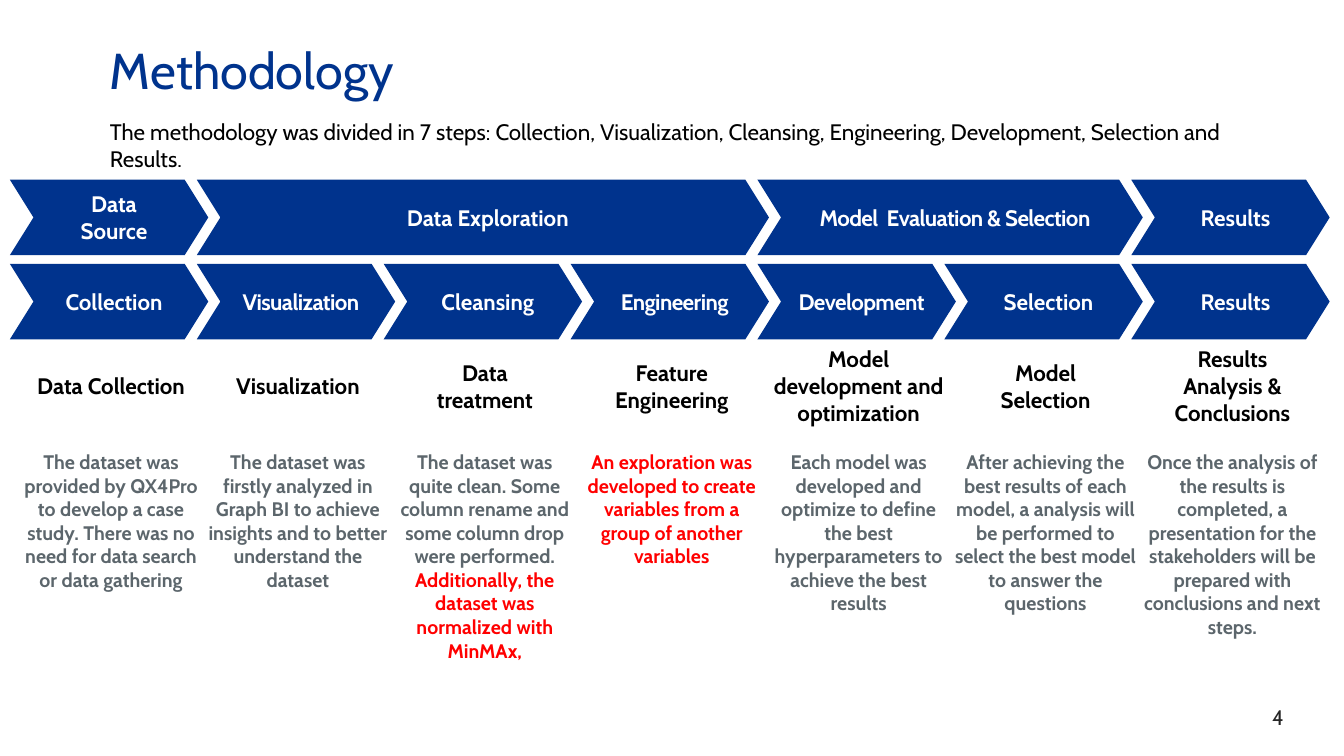
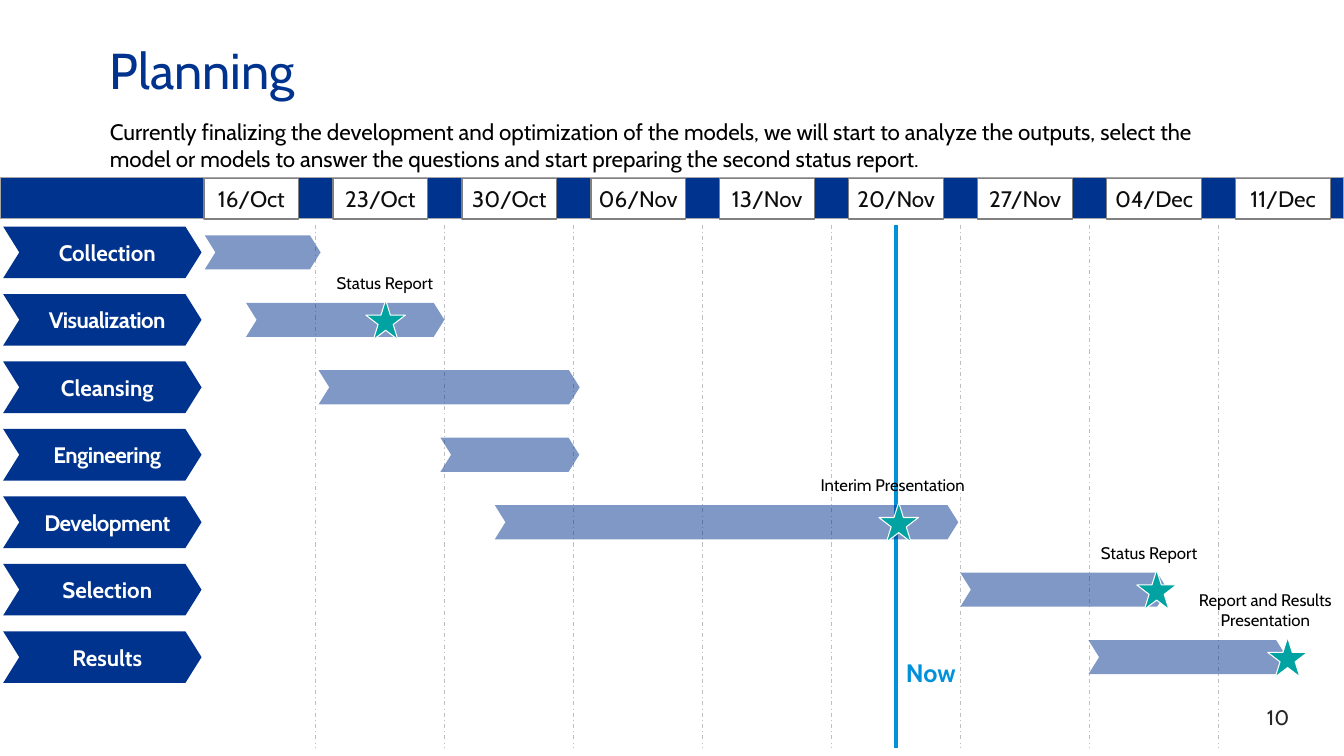
from dataclasses import dataclass
from typing import NamedTuple

from lxml.etree import SubElement
from pptx import Presentation
from pptx.dml.color import RGBColor
from pptx.enum.dml import MSO_LINE_DASH_STYLE as Dash
from pptx.enum.shapes import MSO_CONNECTOR as Connector, MSO_SHAPE as Preset
from pptx.enum.text import MSO_ANCHOR as Anchor, MSO_AUTO_SIZE as AutoSize, PP_ALIGN as Align
from pptx.oxml.ns import qn
from pptx.util import Cm, Pt


@dataclass(frozen=True)
class Theme:
    font: str = "Cabin"
    navy: str = "00338D"
    sky: str = "0091DA"
    teal: str = "00A3A1"
    white: str = "FFFFFF"
    black: str = "000000"
    ink: str = "0D0D0D"
    page_ink: str = "262626"
    slate: str = "5C666C"
    red: str = "FF0000"
    band_edge: str = "A6A6A6"
    week_edge: str = "808080"
    guide: str = "BFBFBF"
    title_size: int = 36
    now_size: int = 18
    text_size: int = 16
    page_size: int = 15
    detail_size: int = 14
    label_size: int = 12


THEME = Theme()


class Box(NamedTuple):
    """A place on the slide, in centimetres."""
    left: float
    top: float
    width: float
    height: float

    def at(self, left, top, width, height):
        """Give the box of a part whose left and top count from this box."""
        return Box(self.left + left, self.top + top, width, height)

    def lengths(self):
        return [Cm(value) for value in self]


class Step(NamedTuple):
    label: str
    name: str
    done: str
    added: str
    bar_left: float
    bar_width: float


class Milestone(NamedTuple):
    row: int
    label: str
    star_left: float
    label_middle: float


STEPS = [
    Step("Collection", "Data Collection",
         "The dataset was provided by QX4Pro to develop a case study. "
         "There was no need for data search or data gathering", "", 5.16, 2.92),
    Step("Visualization", "Visualization",
         "The dataset was firstly analyzed in Graph BI to achieve insights "
         "and to better understand the dataset", "", 6.2, 5),
    Step("Cleansing", "Data\ntreatment",
         "The dataset was quite clean. Some column rename and some column drop were performed.",
         "Additionally, the dataset was normalized with MinMAx,", 8.03, 6.58),
    Step("Engineering", "Feature Engineering", "",
         "An exploration was developed to create variables from a group of another variables",
         11.1, 3.5),
    Step("Development", "Model development and optimization",
         "Each model was developed and optimize to define the best hyperparameters "
         "to achieve the best results", "", 12.47, 11.68),
    Step("Selection", "Model\nSelection",
         "After achieving the best results of each model, a analysis will be performed "
         "to select the best model to answer the questions", "", 24.2, 5.23),
    Step("Results", "Results\nAnalysis & Conclusions",
         "Once the analysis of the results is completed, a presentation for the stakeholders "
         "will be prepared with conclusions and next steps.", "", 27.43, 5),
]
# Stage name, first step, number of steps
STAGES = [
    ("Data\nSource", 0, 1),
    ("Data Exploration", 1, 3),
    ("Model  Evaluation & Selection", 4, 2),
    ("Results", 6, 1),
]
TIGHT_LABELS = {"Visualization", "Engineering", "Development", "Model  Evaluation & Selection"}
WEEKS = ["16/Oct", "23/Oct", "30/Oct", "06/Nov", "13/Nov", "20/Nov", "27/Nov", "04/Dec", "11/Dec"]
MILESTONES = [
    Milestone(1, "Status Report", 9.22, 9.7),
    Milestone(4, "Interim Presentation", 22.15, 22.5),
    Milestone(5, "Status Report", 28.65, 28.96),
    Milestone(6, "Report and Results\nPresentation".replace("\n", " "), 31.95, 31.89),
]


def rgb(color):
    return RGBColor.from_string(color)


def set_insets(frame, left, top, right, bottom):
    frame.margin_left, frame.margin_top = Cm(left), Cm(top)
    frame.margin_right, frame.margin_bottom = Cm(right), Cm(bottom)


def style_paragraph(paragraph, size, color, bold=False, align=Align.CENTER):
    paragraph.alignment = align
    for run in paragraph.runs:
        run.font.name = THEME.font
        run.font.size = Pt(size)
        run.font.bold = bold
        run.font.color.rgb = rgb(color)


def write(shape, text, size, color, bold=False, align=Align.CENTER, anchor=Anchor.MIDDLE):
    frame = shape.text_frame
    frame.text = text
    frame.word_wrap = True
    frame.vertical_anchor = anchor
    for paragraph in frame.paragraphs:
        style_paragraph(paragraph, size, color, bold, align)
    return frame


def add_text(slide, box, *args, **style):
    return write(slide.shapes.add_textbox(*box.lengths()), *args, **style)


def add_filled(slide, preset, box, fill, edge=None, edge_width=1.0):
    shape = slide.shapes.add_shape(preset, *box.lengths())
    shape.shadow.inherit = False
    shape.fill.solid()
    shape.fill.fore_color.rgb = rgb(fill)
    if edge:
        shape.line.color.rgb = rgb(edge)
        shape.line.width = Pt(edge_width)
    else:
        shape.line.fill.background()
    return shape


def add_chevron(slide, box):
    chevron = add_filled(slide, Preset.CHEVRON, box, THEME.navy)
    chevron.adjustments[0] = 0.313
    return chevron


def add_step_chevron(slide, box, label):
    frame = write(add_chevron(slide, box), label, THEME.text_size, THEME.white, bold=True)
    frame.word_wrap = False
    set_insets(frame, 0.25, 0.13, 0, 0.13)
    if label in TIGHT_LABELS:
        frame.paragraphs[0].runs[0].font._element.set("spc", "-40")


def add_bar(slide, box):
    """Add a half transparent chevron for the time a step takes."""
    color = add_chevron(slide, box).fill._xPr.find(f".//{qn('a:srgbClr')}")
    SubElement(color, qn("a:alpha")).set("val", "50000")


def add_vertical(slide, left, top, bottom, color, width, dash=None):
    line = slide.shapes.add_connector(Connector.STRAIGHT, Cm(left), Cm(top), Cm(left), Cm(bottom))
    line.line.color.rgb = rgb(color)
    line.line.width = Pt(width)
    if dash:
        line.line.dash_style = dash
    SubElement(line._element.spPr, qn("a:effectLst"))


def place(placeholder, box):
    placeholder.left, placeholder.top, placeholder.width, placeholder.height = box.lengths()


def add_page(deck, title, summary, number):
    """Add a slide with its title, summary and page number."""
    slide = deck.slides.add_slide(deck.slide_layouts[1])
    heading, body = slide.placeholders
    place(heading, Box(2.77, 1.19, 28.32, 1.47))
    place(body, Box(2.77, 2.97, 28.35, 1.37))

    title_frame = write(heading, title, THEME.title_size, THEME.navy, align=Align.LEFT)
    title_frame.paragraphs[0].line_spacing = 0.7
    body_frame = write(body, summary, THEME.text_size, THEME.black,
                       align=Align.LEFT, anchor=Anchor.TOP)
    summary_line = body_frame.paragraphs[0]
    summary_line.space_before, summary_line.space_after = Pt(0), Pt(6)
    properties = summary_line._p.get_or_add_pPr()
    properties.set("marL", "0")
    properties.set("indent", "0")
    SubElement(properties, qn("a:buNone"))
    for frame in (title_frame, body_frame):
        frame.auto_size = AutoSize.NONE
        set_insets(frame, 0, 0, 0, 0)

    page_frame = add_text(slide, Box(31.55, 17.6, 1.32, 1.07), str(number),
                          THEME.page_size, THEME.page_ink, anchor=Anchor.TOP)
    set_insets(page_frame, 0.15, 0.15, 0.15, 0.15)
    return slide


def add_process(slide, box):
    """Place the stages above their steps, with a name and details below each step."""
    pitch, chevron_width, chevron_height, text_width = 4.71, 5, 1.9, 5.1
    for stage, first, count in STAGES:
        width = (count - 1) * pitch + chevron_width
        add_step_chevron(slide, box.at(first * pitch, 0, width, chevron_height), stage)
    for column, step in enumerate(STEPS):
        left = column * pitch
        add_step_chevron(slide, box.at(left, 2.12, chevron_width, chevron_height), step.label)
        add_text(slide, box.at(left, 3.71, text_width, 2.97), step.name,
                 THEME.text_size, THEME.black, bold=True)
        details = "\n".join(filter(None, (step.done, step.added)))
        frame = add_text(slide, box.at(left, 6.69, text_width, 4.88), details,
                         THEME.detail_size, THEME.slate, bold=True, anchor=Anchor.TOP)
        if step.added:
            style_paragraph(frame.paragraphs[-1], THEME.detail_size, THEME.red, bold=True)


def add_weeks(slide, box, first_left, pitch):
    add_filled(slide, Preset.RECTANGLE, box, THEME.navy, THEME.band_edge)
    for index, week in enumerate(WEEKS):
        cell = box.at(first_left + index * pitch, 0.03, 2.39, 1.02)
        shape = add_filled(slide, Preset.RECTANGLE, cell, THEME.white, THEME.week_edge)
        set_insets(write(shape, week, THEME.text_size, THEME.ink), 0.1, 0.13, 0.1, 0.13)


def add_milestone(slide, box, row_top, row_height, milestone):
    star_size, label_width, label_height = 1, 3.9, 1.27
    star = box.at(milestone.star_left, row_top + (row_height - star_size) / 2,
                  star_size, star_size)
    add_filled(slide, Preset.STAR_5_POINT, star, THEME.teal, THEME.white, 0.75)
    label = box.at(milestone.label_middle - label_width / 2, row_top + 0.1 - label_height,
                   label_width, label_height)
    frame = add_text(slide, label, milestone.label, THEME.label_size, THEME.black,
                     anchor=Anchor.BOTTOM)
    set_insets(frame, 0, 0.13, 0, 0.13)


def add_schedule(slide, box):
    """Place the week band, and under it a row for each step with its bar and milestones."""
    week_left, week_pitch, guide_offset, now_left = 5.14, 3.25, 2.82, 22.58
    row_pitch, row_height, bar_height = 1.7, 1.3, 0.86
    row_tops = [1.24 + row * row_pitch for row in range(len(STEPS))]
    line_top, line_bottom = box.top + 1.19, box.top + box.height

    for index in range(len(WEEKS) - 1):
        guide_left = box.left + week_left + guide_offset + index * week_pitch
        add_vertical(slide, guide_left, line_top, line_bottom, THEME.guide, 0.75, Dash.DASH_DOT)
    add_vertical(slide, box.left + now_left, line_top, line_bottom, THEME.sky, 2.25)
    add_text(slide, box.at(now_left, 11.96, 3.23, 1.02), "Now", THEME.now_size, THEME.sky,
             bold=True, align=Align.LEFT, anchor=Anchor.TOP)

    add_weeks(slide, box.at(0, 0, box.width, 1.04), week_left, week_pitch)
    for top, step in zip(row_tops, STEPS):
        add_step_chevron(slide, box.at(0.08, top, 5, row_height), step.label)
        bar_top = top + (row_height - bar_height) / 2
        add_bar(slide, box.at(step.bar_left, bar_top, step.bar_width, bar_height))
    for milestone in MILESTONES:
        add_milestone(slide, box, row_tops[milestone.row], row_height, milestone)


def main():
    deck = Presentation()
    deck.slide_width, deck.slide_height = Cm(33.87), Cm(19.05)
    methodology = add_page(
        deck, "Methodology",
        "The methodology was divided in 7 steps: Collection, Visualization, Cleansing, "
        "Engineering, Development, Selection and Results.", 4)
    add_process(methodology, Box(0.25, 4.53, 33.36, 11.57))
    planning = add_page(
        deck, "Planning",
        "Currently finalizing the development and optimization of the models, we will start to "
        "analyze the outputs, select the model or models to answer the questions and start "
        "preparing the second status report.", 10)
    add_schedule(planning, Box(0, 4.47, 33.87, 14.38))
    deck.save("out.pptx")


if __name__ == "__main__":
    main()
